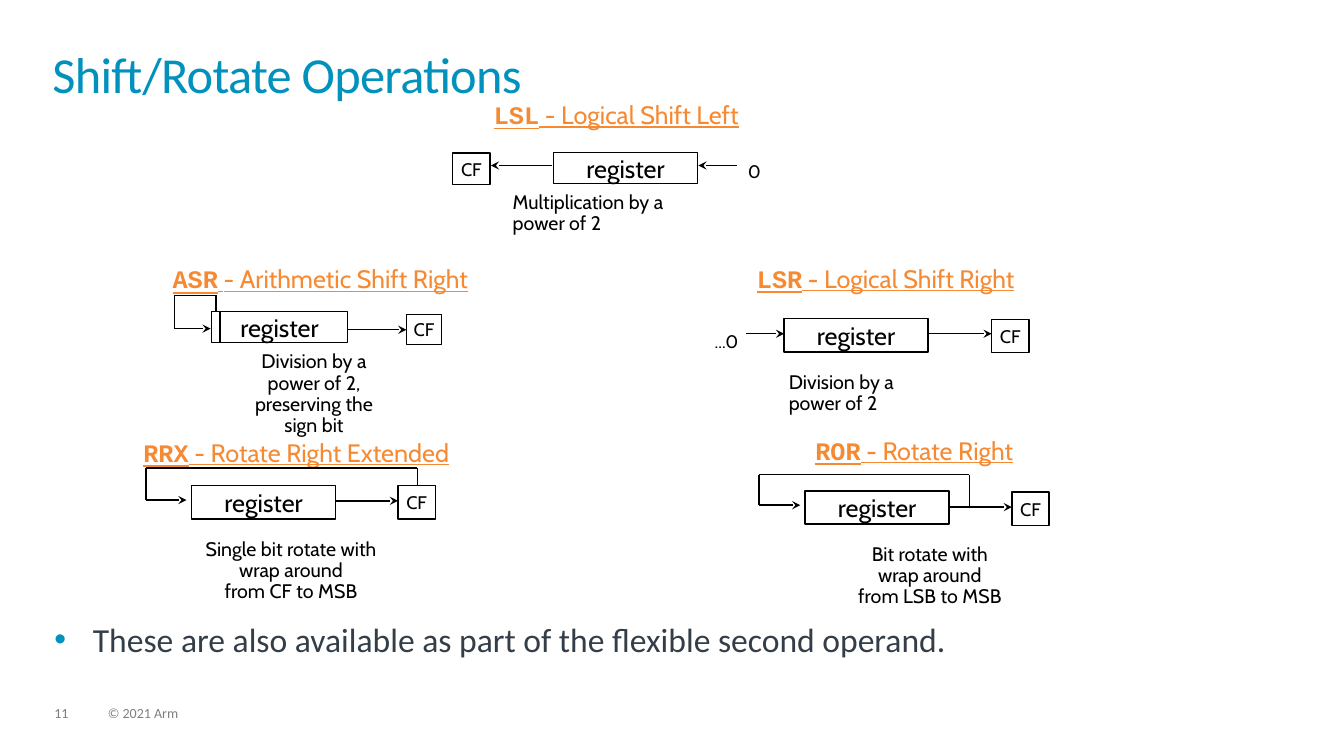
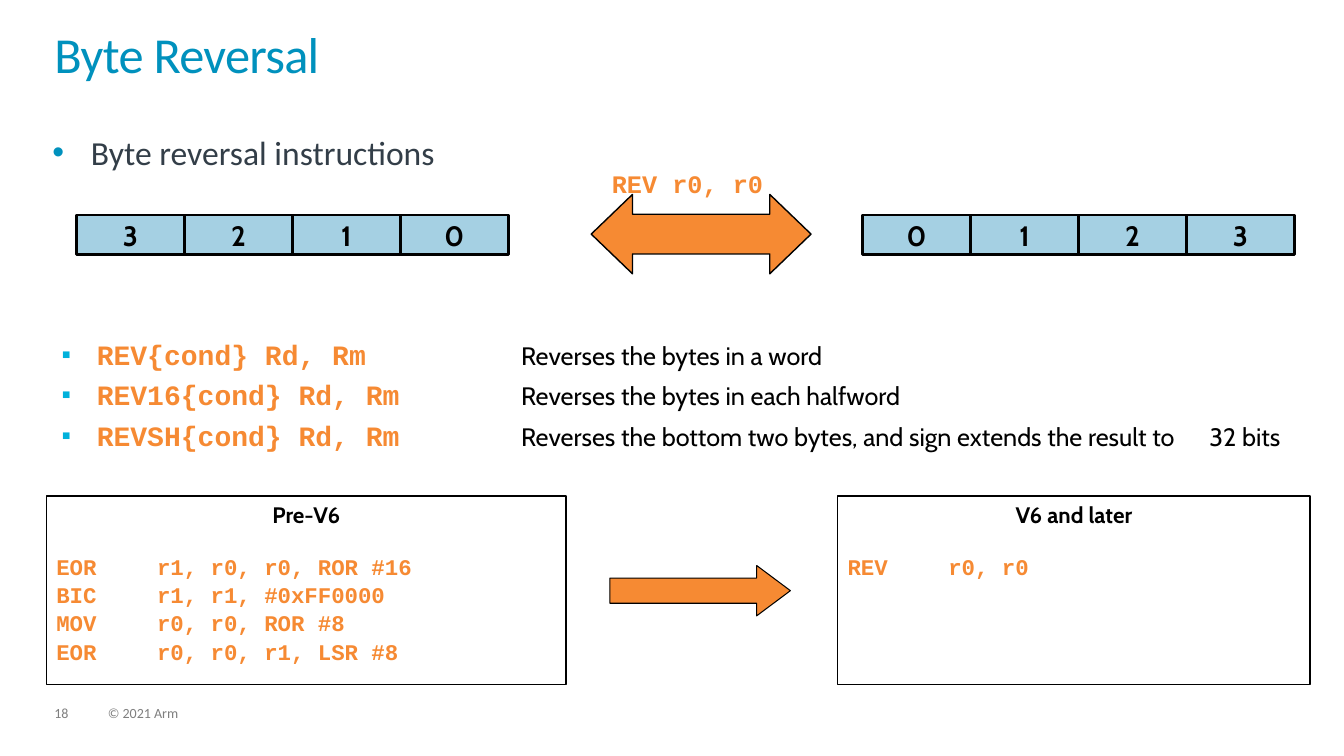
from lxml.etree import SubElement
from pptx import Presentation
from pptx.dml.color import RGBColor
from pptx.enum.shapes import MSO_CONNECTOR, MSO_SHAPE
from pptx.enum.text import MSO_ANCHOR, MSO_AUTO_SIZE, PP_ALIGN
from pptx.oxml.ns import qn
from pptx.util import Cm, Pt

# Colours and fonts
BLACK = RGBColor(0x00, 0x00, 0x00)
BLUE = RGBColor(0x00, 0x91, 0xBD)
CYAN = RGBColor(0x00, 0xB1, 0xDB)
SLATE = RGBColor(0x33, 0x3E, 0x48)
GREY = RGBColor(0x7F, 0x7F, 0x7F)
ORANGE = RGBColor(0xF6, 0x8A, 0x33)
PALE = RGBColor(0xA5, 0xD0, 0xE3)
SANS, HAND, MONO = "Calibri", "Cabin", "Courier New"
LEFT, MID = PP_ALIGN.LEFT, PP_ALIGN.CENTER


def style(font, size=None, color=None, name=None, bold=None):
    if size:
        font.size = Pt(size)
    if color is not None:
        font.color.rgb = color
    if name:
        font.name = name
    if bold is not None:
        font.bold = bold


class Deck:
    def __init__(self):
        self.prs = Presentation()
        self.prs.slide_width, self.prs.slide_height = Cm(33.87), Cm(19.05)
        self.slide = None

    def page(self, layout, number, title, x, y):
        """New slide with title and footer."""
        self.slide = self.prs.slides.add_slide(self.prs.slide_layouts[layout])
        frame = self.fit(self.slide.shapes.title, x, y, 31.1, 1.85)
        frame.text = title
        para = frame.paragraphs[0]
        para.alignment, para.line_spacing = LEFT, 0.85
        style(para.font, 36, BLUE, SANS)
        para.runs[0]._r.get_or_add_rPr().set("spc", "-50")
        for text, left, width in ((number, 1.37, 0.9), ("© 2021 Arm", 2.72, 12.9)):
            self.text(text, left, 17.81, width, 0.38, 10, GREY, SANS, pad=(0, 0))

    def pad(self, frame, x, y):
        frame.margin_left = frame.margin_right = Cm(x)
        frame.margin_top = frame.margin_bottom = Cm(y)

    def fit(self, holder, x, y, w, h):
        """Place a placeholder and return its text frame."""
        holder.left, holder.top, holder.width, holder.height = Cm(x), Cm(y), Cm(w), Cm(h)
        frame = holder.text_frame
        frame.auto_size = MSO_AUTO_SIZE.NONE
        frame.vertical_anchor = MSO_ANCHOR.TOP
        self.pad(frame, 0, 0)
        return frame

    def bullet(self, para, sign, color, left, hang, size=100):
        props = para._p.get_or_add_pPr()
        props.set("marL", str(Cm(left)))
        props.set("indent", str(-Cm(hang)))
        tint = SubElement(props, qn("a:buClr"))
        SubElement(tint, qn("a:srgbClr"), val=str(color))
        SubElement(props, qn("a:buSzPct"), val=str(size * 1000))
        SubElement(props, qn("a:buFont"), typeface="Arial")
        SubElement(props, qn("a:buChar"), char=sign)

    def tabs(self, para, *stops):
        tabs = SubElement(para._p.get_or_add_pPr(), qn("a:tabLst"))
        for stop in stops:
            SubElement(tabs, qn("a:tab"), pos=str(Cm(stop)), algn="l")

    def body(self, text, x, y):
        frame = self.fit(self.slide.placeholders[1], x, y, 31.06, 1.4)
        frame.text = text
        para = frame.paragraphs[0]
        para.space_before = Pt(0)
        self.bullet(para, "•", BLUE, 0.97, 0.97)
        style(para.font, 24, SLATE, SANS)

    def terms(self, rows, x, y, w, h):
        """List of instructions, each with its meaning in a second column."""
        frame = self.fit(self.slide.placeholders[2], x, y, w, h)
        for i, (code, sense) in enumerate(rows):
            para = frame.add_paragraph() if i else frame.paragraphs[0]
            para.space_before = Pt(5 if i else 0)
            self.bullet(para, "▪", CYAN, 2.01, 0.89, 95)
            self.tabs(para, 12.7, 30.05)
            for text, look in ((code, (20, ORANGE, MONO, True)),
                               ("\t" + sense, (18, BLACK, HAND, False))):
                run = para.add_run()
                run.text = text
                style(run.font, *look)

    def text(self, text, x, y, w, h, size, color=BLACK, name=HAND, bold=False,
             align=LEFT, pad=(0.25, 0.13)):
        box = self.slide.shapes.add_textbox(Cm(x), Cm(y), Cm(w), Cm(h))
        frame = box.text_frame
        frame.word_wrap = True
        self.pad(frame, *pad)
        para = frame.paragraphs[0]
        para.text = text
        para.alignment, para.line_spacing = align, 0.9
        style(para.font, size, color, name, bold)
        return para

    def head(self, code, dash, name, x, y, w):
        """Underlined heading of an operation."""
        para = self.text("", x, y, w, 0.74, 18, ORANGE, align=MID)
        para.font.underline = True
        for part, font, bold in ((code, MONO, True), (dash, HAND, True), (name, HAND, False)):
            run = para.add_run()
            run.text = part
            style(run.font, name=font, bold=bold)

    def shape(self, kind, x, y, w, h, fill=None, line=1.0):
        item = self.slide.shapes.add_shape(kind, Cm(x), Cm(y), Cm(w), Cm(h))
        item.shadow.inherit = False
        if fill is None:
            item.fill.background()
        else:
            item.fill.solid()
            item.fill.fore_color.rgb = fill
        item.line.color.rgb, item.line.width = BLACK, Pt(line)
        return item

    def box(self, text, x, y, w, h, size, fill=None, line=1.0, bold=False):
        frame = self.shape(MSO_SHAPE.RECTANGLE, x, y, w, h, fill, line).text_frame
        frame.word_wrap = False
        frame.vertical_anchor = MSO_ANCHOR.MIDDLE
        self.pad(frame, 0.18, 0.08)
        frame.text = text
        para = frame.paragraphs[0]
        para.alignment = MID
        style(para.font, size, BLACK, HAND, bold)

    def arrow(self, kind, x, y, w, h, head, line):
        item = self.shape(kind, x, y, w, h, ORANGE, line)
        item.adjustments[0], item.adjustments[1] = 0.5, head

    def wire(self, *dots, tip=True):
        """Straight lines through the dots, with an arrowhead at the end."""
        for a, b in zip(dots, dots[1:]):
            line = self.slide.shapes.add_connector(
                MSO_CONNECTOR.STRAIGHT, *(Cm(v) for v in a + b))
            line.line.color.rgb, line.line.width = BLACK, Pt(1)
            SubElement(line._element.spPr, qn("a:effectLst"))
            if tip and b == dots[-1]:
                SubElement(line.line._get_or_add_ln(), qn("a:tailEnd"), type="stealth")

    def code(self, title, lines, x, y, w, h):
        """Framed listing with a centred title."""
        frame = self.shape(MSO_SHAPE.RECTANGLE, x, y, w, h).text_frame
        frame.word_wrap = True
        frame.vertical_anchor = MSO_ANCHOR.TOP
        frame.text = "\n".join([title] + lines)
        for i, para in enumerate(frame.paragraphs):
            para.alignment = LEFT if i else MID
            if i:
                para.space_before = Pt(18 if i == 1 else 1)
                self.tabs(para, 2.54)
            style(para.font, 16, ORANGE if i else BLACK, MONO if i else HAND, True)


# Heading, register, carry flag, wires, note
OPS = (
    (("LSL", " ", "- Logical Shift Left", 11.4, 2.46, 8.26),
     (13.95, 3.84, 3.63, 0.79), (11.41, 3.86, 0.94, 0.79),
     (((13.92, 4.17), (12.37, 4.17)), ((18.57, 4.17), (17.6, 4.17))),
     ("Multiplication by a power of 2", 12.67, 4.72, 4.72, LEFT)),
    (("ASR", " ", "- Arithmetic Shift Right", 3.65, 6.6, 8.84),
     (5.33, 7.85, 3.43, 0.79), (10.24, 7.92, 0.89, 0.76),
     (((8.76, 8.31), (10.24, 8.31)),
      ((5.44, 7.85), (5.44, 7.44), (4.39, 7.44), (4.39, 8.28), (5.31, 8.28))),
     ("Division by a power of 2, preserving the sign bit", 5.87, 8.74, 4.09, MID)),
    (("LSR", " - ", "Logical Shift Right", 18.19, 6.58, 8.26),
     (19.76, 8.03, 3.63, 0.84), (24.99, 8.05, 0.94, 0.84),
     (((23.42, 8.41), (24.99, 8.41)), ((18.8, 8.41), (19.76, 8.41))),
     ("Division by a power of 2", 19.63, 9.25, 3.94, LEFT)),
    (("ROR", " - ", "Rotate Right", 18.9, 10.92, 8.28),
     (20.29, 12.37, 3.63, 0.84), (25.5, 12.4, 0.94, 0.84),
     (((23.95, 12.78), (25.5, 12.78)),
      ((24.43, 12.78), (24.43, 11.96), (19.13, 11.96), (19.13, 12.73), (20.17, 12.73))),
     ("Bit rotate with wrap around\vfrom LSB to MSB", 21.21, 13.59, 4.45, MID)),
    (("RRX", " ", "- Rotate Right Extended", 3.02, 10.97, 8.89),
     (4.83, 12.24, 3.63, 0.84), (10.03, 12.24, 0.94, 0.84),
     (((8.48, 12.62), (10.03, 12.62)),
      ((10.52, 12.24), (10.52, 11.79), (3.68, 11.79), (3.68, 12.6), (4.7, 12.6))),
     ("Single bit rotate with wrap around\vfrom CF to MSB", 4.67, 13.46, 5.33, MID)),
)


def shifts(deck):
    deck.page(1, "11", "Shift/Rotate Operations", 1.32, 1.32)
    deck.body("These are also available as part of the flexible second operand.", 1.37, 15.6)
    for head, reg, flag, wires, (note, x, y, w, align) in OPS:
        deck.head(*head)
        deck.box("register", *reg, 18)
        deck.box("CF", *flag, 13)
        for dots in wires:
            deck.wire(*dots)
        deck.text(note, x, y, w, 1.02, 14, align=align)
    # Sign bit and zeros shifted in
    deck.wire((5.54, 7.85), (5.54, 8.64), tip=False)
    for zero, x, y in (("0", 18.72, 4.01), ("...0", 17.88, 8.3)):
        deck.text(zero, x, y, 1, 0.5, 13, pad=(0.13, 0.08))


def bytes_page(deck):
    deck.page(3, "18", "Byte Reversal", 1.37, 0.81)
    deck.body("Byte reversal instructions", 1.32, 3.33)
    # Words before and after
    for order, x in (("3210", 1.93), ("0123", 21.74)):
        for i, digit in enumerate(order):
            deck.box(digit, x + i * 2.72, 5.42, 2.72, 1, 20, PALE, 2, True)
    deck.text("REV r0, r0", 8.46, 4.2, 17.73, 0.81, 18, ORANGE, MONO, True, MID)
    deck.arrow(MSO_SHAPE.LEFT_RIGHT_ARROW, 14.9, 4.9, 5.54, 2, 0.52, 1)
    # Instructions
    deck.terms((("REV{cond} Rd, Rm", "Reverses the bytes in a word"),
                ("REV16{cond} Rd, Rm", "Reverses the bytes in each halfword"),
                ("REVSH{cond} Rd, Rm", "Reverses the bottom two bytes, and sign extends "
                 "the result to\t32 bits")), 0.43, 8.5, 32.2, 3.2)
    # Listings
    deck.code("Pre-V6", ["EOR\tr1, r0, r0, ROR #16", "BIC\tr1, r1, #0xFF0000",
                         "MOV\tr0, r0, ROR #8", "EOR\tr0, r0, r1, LSR #8"],
              1.17, 12.5, 13.1, 4.75)
    deck.code("V6 and later", ["REV\tr0, r0"], 21.11, 12.5, 11.91, 4.75)
    deck.arrow(MSO_SHAPE.RIGHT_ARROW, 15.37, 14.25, 4.55, 1.27, 0.67, 0.75)


def main():
    deck = Deck()
    shifts(deck)
    bytes_page(deck)
    deck.prs.save("out.pptx")


if __name__ == "__main__":
    main()
